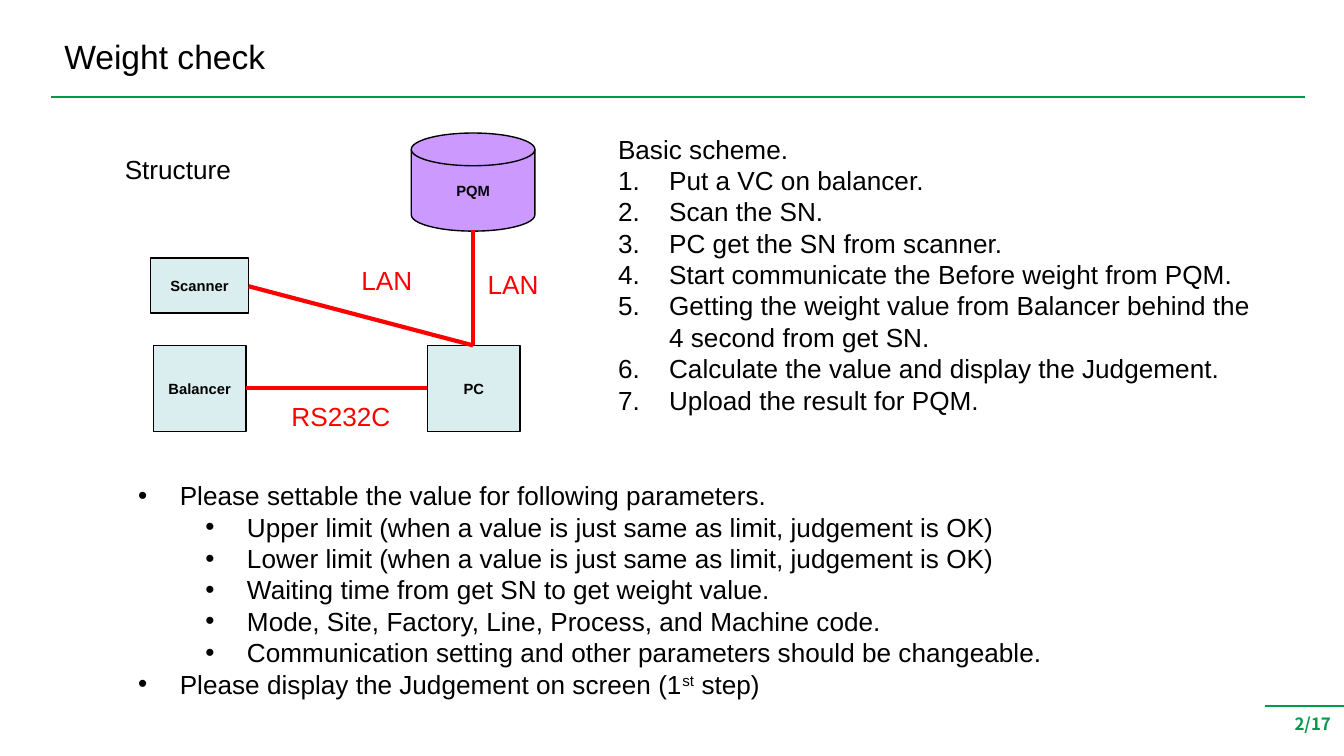
from lxml import etree
from pptx import Presentation
from pptx.dml.color import RGBColor
from pptx.enum.shapes import MSO_CONNECTOR, MSO_SHAPE
from pptx.enum.text import MSO_ANCHOR, PP_ALIGN
from pptx.oxml.ns import qn
from pptx.util import Inches, Pt

STRAIGHT = MSO_CONNECTOR.STRAIGHT
RECT, DISK = MSO_SHAPE.RECTANGLE, MSO_SHAPE.FLOWCHART_MAGNETIC_DISK
MIDDLE = MSO_ANCHOR.MIDDLE
LEFT, CENTER, RIGHT = PP_ALIGN.LEFT, PP_ALIGN.CENTER, PP_ALIGN.RIGHT
GREEN, RED, BLACK, PALE, PURPLE = "009B4A", "FF0000", "000000", "DAEDEF", "CC99FF"

SCHEME_STEPS = [
    "Put a VC on balancer.",
    "Scan the SN.",
    "PC get the SN from scanner.",
    "Start communicate the Before weight from PQM.",
    "Getting the weight value from Balancer behind the 4 second from get SN.",
    "Calculate the value and display the Judgement.",
    "Upload the result for PQM.",
]
PARAMETERS = [
    "Upper limit (when a value is just same as limit, judgement is OK)",
    "Lower limit (when a value is just same as limit, judgement is OK)",
    "Waiting time from get SN to get weight value.",
    "Mode, Site, Factory, Line, Process, and Machine code.",
    "Communication setting and other parameters should be changeable.",
]


def rgb(hex_color):
    return RGBColor.from_string(hex_color)


def style(paragraph, size=14, color=BLACK, bold=False, font="Arial", align=LEFT):
    paragraph.alignment = align
    paragraph.font.size = Pt(size)
    paragraph.font.name = font
    paragraph.font.bold = bold
    paragraph.font.color.rgb = rgb(color)


def set_marker(paragraph, tag, indent, hanging, **attributes):
    """Give a paragraph a bullet or number with a hanging indent; call before style."""
    properties = paragraph._p.get_or_add_pPr()
    properties.set("marL", str(Inches(indent)))
    properties.set("indent", str(-Inches(hanging)))
    etree.SubElement(properties, qn("a:buFont")).set("typeface", "Arial")
    marker = etree.SubElement(properties, qn(tag))
    for key, value in attributes.items():
        marker.set(key, value)


def add_frame(slide, box, wrap=True):
    frame = slide.shapes.add_textbox(*map(Inches, box)).text_frame
    frame.word_wrap = wrap
    return frame


def add_label(slide, box, text, wrap=True, **look):
    paragraph = add_frame(slide, box, wrap).paragraphs[0]
    paragraph.text = text
    style(paragraph, **look)


def add_line(slide, start, end, color, width):
    line = slide.shapes.add_connector(STRAIGHT, *map(Inches, (*start, *end)))
    line.line.color.rgb = rgb(color)
    line.line.width = Pt(width)
    etree.SubElement(line._element.spPr, qn("a:effectLst"))


def add_device(slide, box, name, kind=RECT, fill=PALE):
    device = slide.shapes.add_shape(kind, *map(Inches, box))
    device.shadow.inherit = False
    device.fill.solid()
    device.fill.fore_color.rgb = rgb(fill)
    device.line.color.rgb = rgb(BLACK)
    device.line.width = Pt(0.75)
    frame = device.text_frame
    frame.margin_left = frame.margin_right = 0
    frame.vertical_anchor = MIDDLE
    frame.paragraphs[0].text = name
    style(frame.paragraphs[0], size=7.9, bold=True, align=CENTER)


def add_header(slide, left, top, width):
    add_label(slide, (left, top, 1.71, 0.4), "Weight check", wrap=False, size=18)
    add_line(slide, (left, top + 0.5), (left + width, top + 0.5), GREEN, 1)


def add_page_number(slide, right, top):
    add_line(slide, (right - 0.59, top), (right, top), GREEN, 1)
    add_label(slide, (right - 0.75, top + 0.01, 0.75, 0.37), "2/17", size=9,
              color=GREEN, bold=True, font="Noto Sans CJK JP", align=RIGHT)


def add_structure(slide, left, top):
    """Draw the devices, their links and the link labels."""
    def at(x, y, *size):
        return (left + x, top + y, *size)

    add_label(slide, at(0, 0.1, 1.31, 0.34), "Structure")
    add_device(slide, at(0.31, 1.58, 0.69, 0.64), "Balancer")
    add_device(slide, at(2.35, 1.58, 0.69, 0.64), "PC")
    add_device(slide, at(2.23, 0, 0.92, 0.73), "PQM", DISK, PURPLE)
    add_device(slide, at(0.29, 0.93, 0.73, 0.41), "Scanner")

    pc_top = at(2.69, 1.58)
    links = [
        (at(2.69, 0.72), pc_top),
        (pc_top, at(1.02, 1.14)),
        (at(2.35, 1.9), at(1, 1.9)),
    ]
    for start, end in links:
        add_line(slide, start, end, RED, 2.25)

    add_label(slide, at(1.24, 1.94, 1.2, 0.34), "RS232C", color=RED)
    add_label(slide, at(1.76, 0.93, 0.66, 0.34), "LAN", color=RED)
    add_label(slide, at(2.7, 0.96, 0.66, 0.34), "LAN", color=RED)


def add_scheme(slide, box):
    frame = add_frame(slide, box)
    heading = frame.paragraphs[0]
    heading.text = "Basic scheme."
    style(heading)
    for step in SCHEME_STEPS:
        paragraph = frame.add_paragraph()
        paragraph.text = step
        set_marker(paragraph, "a:buAutoNum", 0.38, 0.38, type="arabicPeriod")
        style(paragraph)


def add_requirements(slide, box):
    frame = add_frame(slide, box)
    items = [("Please settable the value for following parameters.", 0)]
    items += [(parameter, 1) for parameter in PARAMETERS]
    items += [("Please display the Judgement on screen (1", 0)]
    for index, (text, level) in enumerate(items):
        paragraph = frame.add_paragraph() if index else frame.paragraphs[0]
        paragraph.add_run().text = text
        paragraph.level = level
        set_marker(paragraph, "a:buChar", 0.31 + 0.5 * level, 0.31, char="•")
        style(paragraph)

    ordinal = paragraph.add_run()
    ordinal.text = "st"
    ordinal._r.get_or_add_rPr().set("baseline", "30000")
    paragraph.add_run().text = " step)"


def main():
    deck = Presentation()
    deck.slide_width = Inches(10)
    deck.slide_height = deck.slide_width * 9 // 16
    slide = deck.slides.add_slide(deck.slide_layouts[6])
    add_header(slide, 0.38, 0.22, 9.33)
    add_page_number(slide, 10, 5.25)
    add_structure(slide, 0.83, 0.99)
    add_scheme(slide, (4.5, 0.94, 4.99, 2.22))
    add_requirements(slide, (0.93, 3.52, 7.93, 1.99))
    deck.save("out.pptx")


if __name__ == "__main__":
    main()
